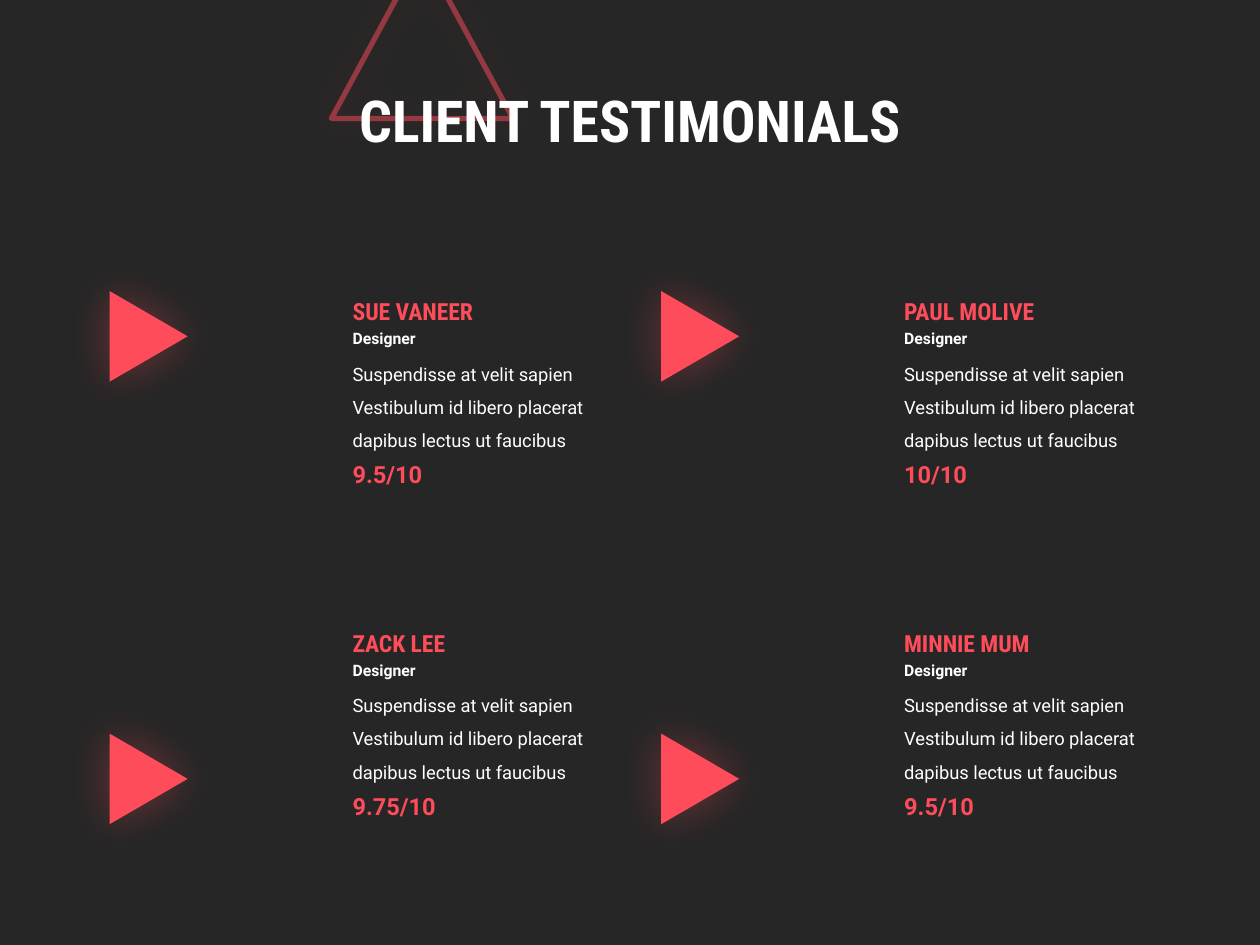
from pptx import Presentation
from pptx.dml.color import RGBColor
from pptx.enum.shapes import MSO_SHAPE
from pptx.enum.text import MSO_ANCHOR, MSO_AUTO_SIZE, PP_ALIGN
from pptx.oxml.ns import qn
from pptx.util import Pt
from lxml.etree import SubElement

# Content
TITLE = "CLIENT TESTIMONIALS"
QUOTE = "Suspendisse at velit sapien Vestibulum id libero placerat dapibus lectus ut faucibus"
CLIENTS = [  # row by row: name, role, quote, score
    ("SUE VANEER", "Designer", QUOTE, "9.5/10"),
    ("PAUL MOLIVE", "Designer", QUOTE, "10/10"),
    ("ZACK LEE", "Designer", QUOTE, "9.75/10"),
    ("MINNIE MUM", "Designer", QUOTE, "9.5/10"),
]

# Theme
WHITE, ACCENT, DARK = "FFFFFF", "FF4C5B", "262626"
THEME = {
    "title": {"name": "Roboto Condensed", "size": 33, "bold": True, "color": WHITE},
    "name": {"name": "Roboto Condensed", "size": 13.5, "bold": True, "color": ACCENT},
    "role": {"name": "Roboto", "size": 9, "bold": True, "color": WHITE},
    "quote": {"name": "Roboto", "size": 10.5, "bold": False, "color": WHITE},
    "score": {"name": "Roboto", "size": 13.5, "bold": True, "color": ACCENT},
}
GLOW = {"blur": 25, "alpha": 35}

# Layout, in points
COLUMNS = 2
TEXT_X, COLUMN_STEP = 194.4, 315.2
TEXT_Y, ROW_STEP = 166.3, 189.6
FIELDS = {  # offset from the top of the text, width, height
    "name": (0, 100, 23.8),
    "role": (18.2, 56.2, 18),
    "quote": (31.2, 153.4, 62.6),
    "score": (92.9, 80.6, 23.8),
}
MARKER_X, MARKER_Y, MARKER_ROW_STEP = 59, 169.9, 252.9
MARKER_SIZE = (51.8, 44.6)


def add_text(slide, text, style, x, y, w, h, spacing=None, align=None):
    s = slide.shapes.add_textbox(Pt(x), Pt(y), Pt(w), Pt(h))
    tf = s.text_frame
    tf.word_wrap = True
    p = tf.paragraphs[0]
    p.line_spacing, p.alignment = spacing, align
    r = p.add_run()
    r.text = text
    for key, value in THEME[style].items():
        if key == "color":
            r.font.color.rgb = RGBColor.from_string(value)
        else:
            setattr(r.font, key, Pt(value) if key == "size" else value)
    return tf


def set_alpha(color, percent):
    SubElement(color, qn("a:alpha"), val=str(percent * 1000))


def add_triangle(slide, x, y, w, h):
    """Triangle with a soft accent glow."""
    s = slide.shapes.add_shape(MSO_SHAPE.ISOSCELES_TRIANGLE, Pt(x), Pt(y), Pt(w), Pt(h))
    s.shadow.inherit = False
    effects = s._element.spPr.find(qn("a:effectLst"))
    glow = SubElement(effects, qn("a:outerShdw"), blurRad=str(Pt(GLOW["blur"])),
                      dist="0", dir="0", algn="ctr", rotWithShape="0")
    set_alpha(SubElement(glow, qn("a:srgbClr"), val=ACCENT), GLOW["alpha"])
    return s


def main():
    prs = Presentation()
    prs.slide_width, prs.slide_height = Pt(720), Pt(540)
    slide = prs.slides.add_slide(prs.slide_layouts[6])
    fill = slide.background.fill
    fill.solid()
    fill.fore_color.rgb = RGBColor.from_string(DARK)

    # Outlined triangle behind the title
    s = add_triangle(slide, 189.4, -28.1, 103.7, 95.8)
    s.fill.background()
    s.line.width = Pt(3)
    s.line.color.rgb = RGBColor.from_string(ACCENT)
    set_alpha(next(s.line._ln.iter(qn("a:srgbClr"))), 50)

    # Title
    tf = add_text(slide, TITLE, "title", 176.4, 35.3, 367.2, 70.6, 0.9, PP_ALIGN.CENTER)
    tf.vertical_anchor = MSO_ANCHOR.MIDDLE

    # Testimonials, each with its marker
    for i, client in enumerate(CLIENTS):
        row, column = divmod(i, COLUMNS)
        dx = column * COLUMN_STEP
        for text, (field, (dy, w, h)) in zip(client, FIELDS.items()):
            y = TEXT_Y + row * ROW_STEP + dy
            spacing = 1.5 if field == "quote" else None
            tf = add_text(slide, text, field, TEXT_X + dx, y, w, h, spacing)
            tf.auto_size = MSO_AUTO_SIZE.SHAPE_TO_FIT_TEXT
        s = add_triangle(slide, MARKER_X + dx, MARKER_Y + row * MARKER_ROW_STEP, *MARKER_SIZE)
        s.rotation = 90
        s.fill.solid()
        s.fill.fore_color.rgb = RGBColor.from_string(ACCENT)
        s.line.fill.background()

    prs.save("out.pptx")


if __name__ == "__main__":
    main()
